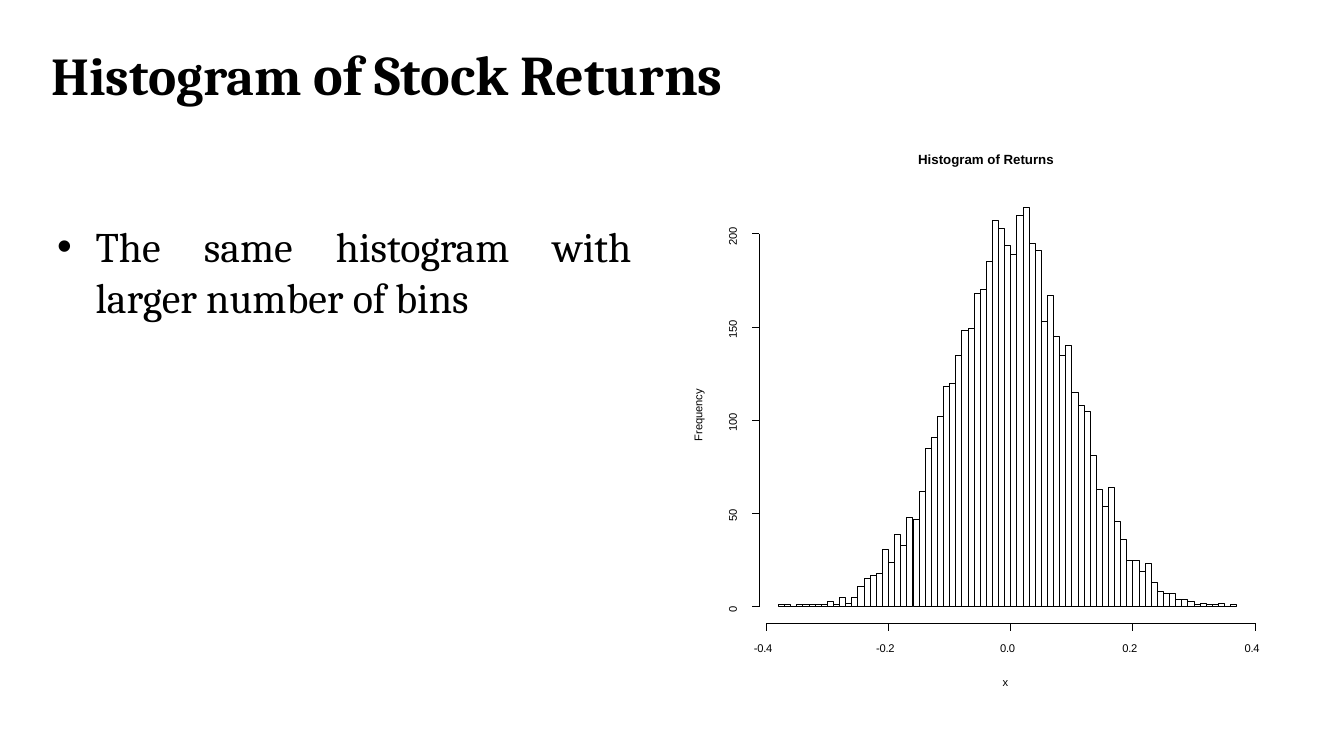
from lxml import etree
from pptx import Presentation
from pptx.dml.color import RGBColor
from pptx.enum.text import MSO_ANCHOR, PP_ALIGN
from pptx.oxml.ns import qn
from pptx.util import Cm, Pt

TOP, MIDDLE = MSO_ANCHOR.TOP, MSO_ANCHOR.MIDDLE
LEFT, CENTER, JUSTIFY = PP_ALIGN.LEFT, PP_ALIGN.CENTER, PP_ALIGN.JUSTIFY

COLORS = {"ink": "000000", "paper": "FFFFFF"}
SERIF, SANS = "Cambria", "Arial"

COUNTS = [
    1, 1, 0, 1, 1, 1, 1, 1, 3, 1, 5, 2, 5, 11, 15,
    17, 18, 31, 24, 39, 33, 48, 47, 62, 85, 91, 102, 118, 120, 135,
    148, 149, 168, 170, 185, 207, 203, 194, 189, 210, 214, 195, 191, 153, 167,
    145, 135, 140, 115, 108, 105, 81, 63, 54, 64, 46, 36, 25, 25, 19,
    23, 13, 8, 7, 7, 4, 4, 3, 1, 2, 1, 1, 2, 0, 1,
]
FIRST_BIN, BIN_WIDTH = -0.38, 0.01
X_TICKS = [-0.4, -0.2, 0.0, 0.2, 0.4]
Y_TICKS = [0, 50, 100, 150, 200]
X_ZERO, X_SCALE = 25.47, 15.4
Y_ZERO, Y_SCALE = 15.29, 0.047
X_AXIS_Y, Y_AXIS_X, TICK = 15.7, 19.14, 0.2


def x_at(value):
    return X_ZERO + value * X_SCALE


def y_at(count):
    return Y_ZERO - count * Y_SCALE


def rgb(name):
    return RGBColor.from_string(COLORS[name])


def write(tf, text, size=8, font=SANS, bold=False, align=LEFT, bullet=False,
          line_spacing=None, spacing=0):
    runs = [(text, size)] if isinstance(text, str) else text
    p = tf.paragraphs[0]
    p.alignment = align
    if line_spacing:
        p.line_spacing = line_spacing
    if bullet:
        pPr = p._p.get_or_add_pPr()
        pPr.set("marL", str(Cm(0.99)))
        pPr.set("indent", str(Cm(-0.97)))
        etree.SubElement(pPr, qn("a:buFont"), typeface=SANS)
        etree.SubElement(pPr, qn("a:buChar"), char="•")
    for words, points in runs:
        r = p.add_run()
        r.text = words
        r.font.size = Pt(points)
        r.font.name = font
        r.font.bold = bold
        r.font.color.rgb = rgb("ink")
        if spacing:
            r._r.get_or_add_rPr().set("spc", str(spacing))


class Deck:
    def __init__(self):
        self.prs = Presentation()
        self.prs.slide_width, self.prs.slide_height = Cm(33.87), Cm(19.05)
        self.s = self.prs.slides.add_slide(self.prs.slide_layouts[6])
        self.s.background.fill.solid()
        self.s.background.fill.fore_color.rgb = rgb("paper")

    def text(self, x, y, w, h, text, inset=(0, 0.09), anchor=TOP, wrap=False,
             upward=False, **style):
        sp = self.s.shapes.add_textbox(Cm(x), Cm(y), Cm(w), Cm(h))
        tf = sp.text_frame
        tf.word_wrap = wrap
        tf.vertical_anchor = anchor
        tf.margin_left = tf.margin_right = Cm(inset[0])
        tf.margin_top, tf.margin_bottom = Cm(inset[1]), 0
        if upward:
            tf._txBody.bodyPr.set("vert", "vert270")
        write(tf, text, **style)

    def outline(self, paths, close=False):
        paths = [[(Cm(x), Cm(y)) for x, y in path] for path in paths]
        builder = self.s.shapes.build_freeform(*paths[0][0])
        for i, (start, *rest) in enumerate(paths):
            if i:
                builder.move_to(*start)
            builder.add_line_segments(rest, close=close)
        sp = builder.convert_to_shape()
        sp.shadow.inherit = False
        sp.fill.background()
        sp.line.color.rgb = rgb("ink")
        sp.line.width = Pt(0.5)

    def histogram(self):
        bars = []
        for i, count in enumerate(COUNTS):
            left = x_at(FIRST_BIN + i * BIN_WIDTH)
            right = left + BIN_WIDTH * X_SCALE
            top = y_at(count)
            bars.append([(left, top), (right, top), (right, Y_ZERO), (left, Y_ZERO)])
        self.outline(bars, close=True)

    def x_axis(self):
        xs = [x_at(value) for value in X_TICKS]
        ticks = [[(x, X_AXIS_Y), (x, X_AXIS_Y + TICK)] for x in xs]
        self.outline([[(xs[0], X_AXIS_Y), (xs[-1], X_AXIS_Y)]] + ticks)
        for x, value in zip(xs, X_TICKS):
            self.text(x - 0.42, 16.08, 0.69, 0.51, f"{value:.1f}",
                      align=CENTER, spacing=-20)
        self.text(25.27, 16.92, 0.28, 0.51, "x")

    def y_axis(self):
        ys = [y_at(count) for count in Y_TICKS]
        ticks = [[(Y_AXIS_X, y), (Y_AXIS_X - TICK, y)] for y in ys]
        self.outline([[(Y_AXIS_X, ys[0]), (Y_AXIS_X, ys[-1])]] + ticks)
        for y, count in zip(ys, Y_TICKS):
            self.text(18.29, y - 0.31, 0.48, 0.69, str(count), inset=(0, 0.04),
                      upward=True, align=CENTER, spacing=-20)
        self.text(17.42, 9.37, 0.48, 1.75, "Frequency", inset=(0, 0.04),
                  upward=True, spacing=-10)


def main():
    d = Deck()
    d.text(1.02, 0.97, 31.83, 1.98, [("Histogram ", 38), ("of Stock Returns", 40)],
           inset=(0.27, 0), anchor=MIDDLE, wrap=True, font=SERIF, bold=True,
           line_spacing=0.9)
    d.text(1.42, 5.51, 14.5, 2.59, "The same histogram with larger number of bins",
           inset=(0, 0.06), wrap=True, size=30, font=SERIF, align=JUSTIFY, bullet=True)
    d.histogram()
    d.text(23.14, 3.71, 4.5, 0.58, "Histogram of Returns", size=9.5, bold=True)
    d.x_axis()
    d.y_axis()
    d.prs.save("out.pptx")


if __name__ == "__main__":
    main()
